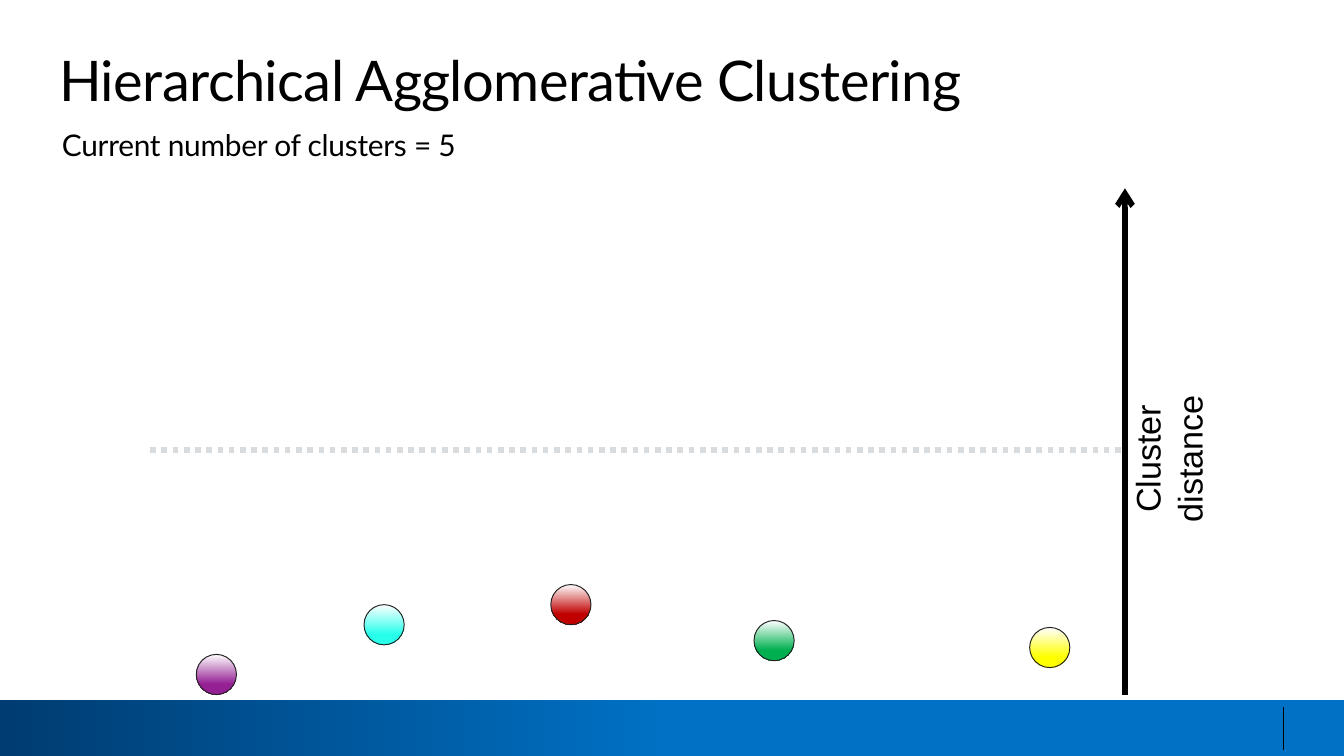
from dataclasses import dataclass
from typing import Optional

import pptx
import pptx.dml.color
import pptx.enum.dml
import pptx.enum.shapes
import pptx.enum.text
import pptx.oxml.ns
import pptx.util
from lxml import etree

Cm = pptx.util.Cm
Pt = pptx.util.Pt
RGBColor = pptx.dml.color.RGBColor
Shapes = pptx.enum.shapes.MSO_SHAPE
Dash = pptx.enum.dml.MSO_LINE
Align = pptx.enum.text.PP_ALIGN
qn = pptx.oxml.ns.qn

BLACK = RGBColor(0x00, 0x00, 0x00)
WHITE = RGBColor(0xFF, 0xFF, 0xFF)
OUTLINE = RGBColor(0x21, 0x21, 0x21)
NAVY = RGBColor(0x00, 0x3C, 0x71)
BLUE = RGBColor(0x00, 0x71, 0xC5)
GRAY = RGBColor(0xD8, 0xDC, 0xDF)
YELLOW = RGBColor(0xFF, 0xFF, 0x00)
GREEN = RGBColor(0x00, 0xB0, 0x50)
RED = RGBColor(0xC0, 0x00, 0x00)
CYAN = RGBColor(0x27, 0xFF, 0xEB)
PURPLE = RGBColor(0x94, 0x20, 0x93)

SLIDE_WIDTH, SLIDE_HEIGHT = 25.4, 14.29
BAND_TOP = 13.23
AXIS_X = 21.26
POINT_SIZE = 0.76


@dataclass(frozen=True)
class Box:
    left: float
    top: float
    width: float
    height: float


@dataclass(frozen=True)
class Gradient:
    start: RGBColor
    end: RGBColor
    end_position: float
    angle: float


@dataclass(frozen=True)
class DataPoint:
    left: float
    top: float
    color: RGBColor


@dataclass(frozen=True)
class Rule:
    start: tuple[float, float]
    end: tuple[float, float]
    color: RGBColor
    width: float
    dash: Optional[Dash] = None
    arrow: bool = False


POINTS = [
    DataPoint(19.46, 11.86, YELLOW),
    DataPoint(14.25, 11.73, GREEN),
    DataPoint(10.41, 11.05, RED),
    DataPoint(6.88, 11.43, CYAN),
    DataPoint(3.71, 12.37, PURPLE),
]
FOOTER_RULE = Rule((24.26, 13.36), (24.26, 14.17), BLACK, 0.75)
DISTANCE_AXIS = Rule((AXIS_X, 13.13), (AXIS_X, 3.56), BLACK, 3, arrow=True)
THRESHOLD = Rule((2.84, 8.51), (AXIS_X, 8.51), GRAY, 3, dash=Dash.ROUND_DOT)


def add_gradient_shape(page, kind: Shapes, box: Box, gradient: Gradient,
                       outline: Optional[RGBColor] = None) -> None:
    shape = page.shapes.add_shape(
        kind, Cm(box.left), Cm(box.top), Cm(box.width), Cm(box.height))
    shape.shadow.inherit = False
    shape.fill.gradient()
    shape.fill.gradient_angle = gradient.angle
    first, last = shape.fill.gradient_stops
    first.color.rgb, first.position = gradient.start, 0
    last.color.rgb, last.position = gradient.end, gradient.end_position
    if outline is None:
        shape.line.fill.background()
    else:
        shape.line.color.rgb = outline
        shape.line.width = Pt(0.5)


def add_rule(page, rule: Rule) -> None:
    connector = page.shapes.add_connector(
        pptx.enum.shapes.MSO_CONNECTOR.STRAIGHT,
        *map(Cm, rule.start), *map(Cm, rule.end))
    connector.line.color.rgb = rule.color
    connector.line.width = Pt(rule.width)
    if rule.dash is not None:
        connector.line.dash_style = rule.dash
    if rule.arrow:
        line = connector.line._get_or_add_ln()
        etree.SubElement(line, qn("a:tailEnd"), type="arrow")
    etree.SubElement(connector._element.spPr, qn("a:effectLst"))


def add_text(page, text: str, box: Box, *, font: str, size: float,
             tracking: int = 0, baseline: int = 0, align: Align = Align.LEFT,
             line_spacing=None, space_before: float = 0,
             rotation: float = 0, grow: bool = True) -> None:
    """Tracking is in hundredths of a point, baseline in thousandths of a percent."""
    text_box = page.shapes.add_textbox(
        Cm(box.left), Cm(box.top), Cm(box.width), Cm(box.height))
    text_box.rotation = rotation
    frame = text_box.text_frame
    frame.word_wrap = True
    frame.margin_left = frame.margin_right = 0
    frame.margin_top = frame.margin_bottom = 0
    sizes = pptx.enum.text.MSO_AUTO_SIZE
    frame.auto_size = sizes.SHAPE_TO_FIT_TEXT if grow else sizes.NONE
    para = frame.paragraphs[0]
    para.alignment = align
    para.line_spacing = line_spacing
    para.space_before = Pt(space_before)
    span = para.add_run()
    span.text = text
    span.font.name = font
    span.font.size = Pt(size)
    span.font.color.rgb = BLACK
    properties = span._r.get_or_add_rPr()
    if tracking:
        properties.set("spc", str(tracking))
    if baseline:
        properties.set("baseline", str(baseline))


def main() -> None:
    deck = pptx.Presentation()
    deck.slide_width, deck.slide_height = Cm(SLIDE_WIDTH), Cm(SLIDE_HEIGHT)
    page = deck.slides.add_slide(deck.slide_layouts[6])

    # Footer band
    add_gradient_shape(
        page, Shapes.RECTANGLE,
        Box(0, BAND_TOP, SLIDE_WIDTH, SLIDE_HEIGHT - BAND_TOP),
        Gradient(NAVY, BLUE, 0.5, 0))
    add_rule(page, FOOTER_RULE)

    # Title
    add_text(page, "Hierarchical Agglomerative Clustering",
             Box(1.12, 0.86, 23.44, 1.27), font="Lato", size=30, tracking=-30)

    # Distance axis and data points
    add_rule(page, DISTANCE_AXIS)
    for point in POINTS:
        add_gradient_shape(
            page, Shapes.OVAL,
            Box(point.left, point.top, POINT_SIZE, POINT_SIZE),
            Gradient(WHITE, point.color, 0.74, 270), OUTLINE)

    # Captions
    add_text(page, "Current number of clusters = 5",
             Box(1.17, 2.06, 13.89, 1.02), font="Lato", size=16,
             tracking=-10, line_spacing=1.5)
    add_text(page, "Cluster distance", Box(20.19, 8.28, 3.18, 0.79),
             font="Arial", size=31.5, baseline=2000, align=Align.CENTER,
             line_spacing=Pt(22.5), space_before=1.1, rotation=270, grow=False)

    # Threshold line
    add_rule(page, THRESHOLD)

    deck.save("out.pptx")


if __name__ == "__main__":
    main()
